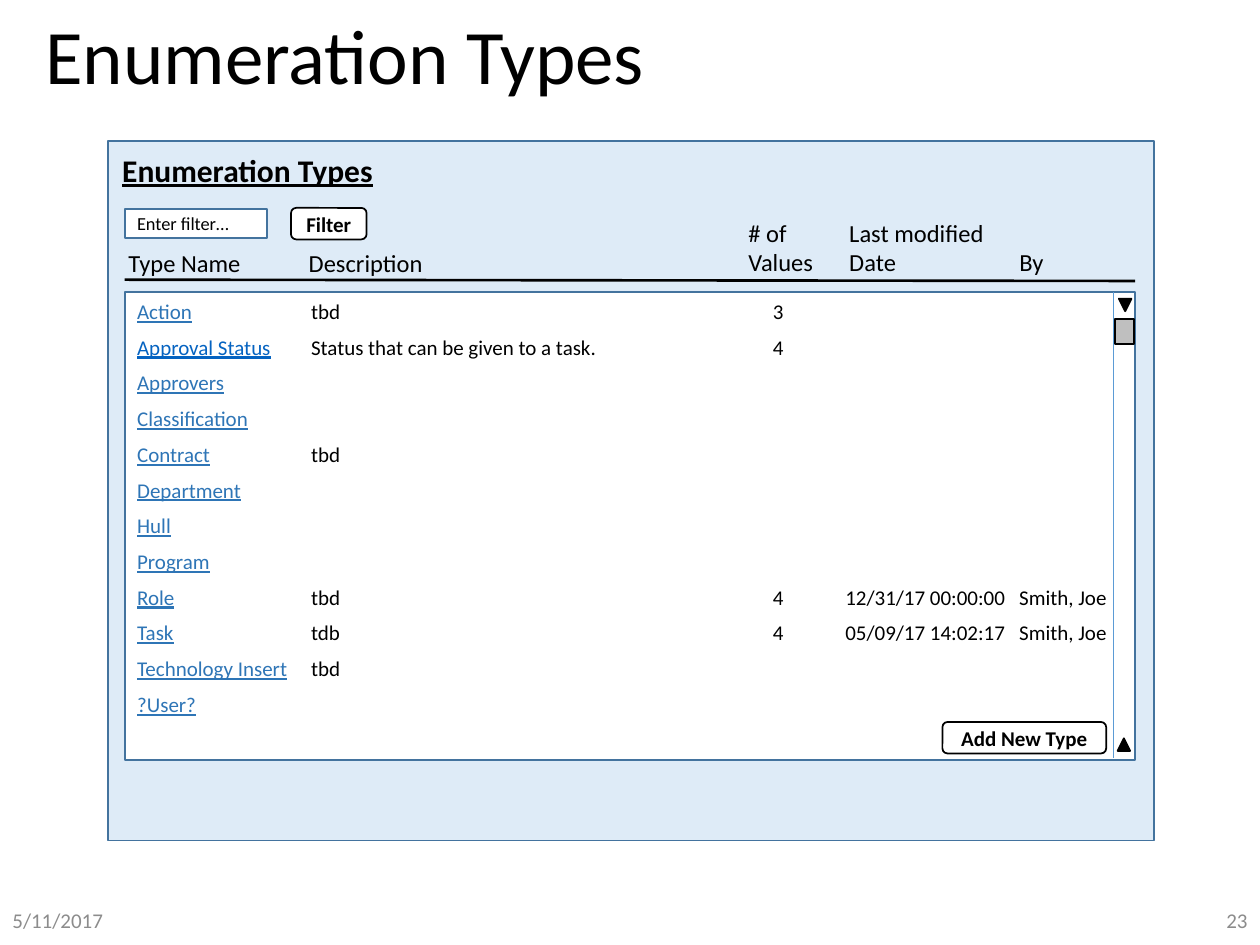
from lxml import etree
from pptx import Presentation
from pptx.dml.color import RGBColor
from pptx.enum.shapes import MSO_CONNECTOR, MSO_SHAPE
from pptx.enum.text import MSO_ANCHOR, PP_ALIGN
from pptx.oxml.ns import qn
from pptx.util import Inches, Pt

RECT = MSO_SHAPE.RECTANGLE
ROUND = MSO_SHAPE.ROUNDED_RECTANGLE
ARROW = MSO_SHAPE.ISOSCELES_TRIANGLE
THUMB = MSO_SHAPE.FLOWCHART_PROCESS
STRAIGHT = MSO_CONNECTOR.STRAIGHT
TOP, MIDDLE = MSO_ANCHOR.TOP, MSO_ANCHOR.MIDDLE
LEFT, CENTER, RIGHT = PP_ALIGN.LEFT, PP_ALIGN.CENTER, PP_ALIGN.RIGHT

BLACK = RGBColor(0, 0, 0)
WHITE = RGBColor(255, 255, 255)
GRAY = RGBColor(0x8C, 0x8C, 0x8C)
SILVER = RGBColor(0xBF, 0xBF, 0xBF)
PALE = RGBColor(0xDE, 0xEB, 0xF7)
EDGE = RGBColor(0x43, 0x73, 0x9E)
BLUE = RGBColor(0x5B, 0x9B, 0xD5)
LINK = RGBColor(0x2E, 0x75, 0xB6)
BRIGHT = RGBColor(0x05, 0x63, 0xC1)

LIST_TABS = [(1.38, "l"), (5.13, "dec"), (5.62, "l"), (6.62, "l")]
ROWS = [
    ("Action", "tbd", "3"),
    ("Approval Status", "Status that can be given to a task.", "4"),
    ("Approvers",),
    ("Classification",),
    ("Contract", "tbd"),
    ("Department",),
    ("Hull",),
    ("Program",),
    ("Role", "tbd", "4", "12/31/17 00:00:00", "Smith, Joe"),
    ("Task", "tdb", "4", "05/09/17 14:02:17", "Smith, Joe"),
    ("Technology Insert", "tbd"),
    ("?User?",),
]
HEADS = [
    (0.97, 1.92, 1, 0.34, "Type Name"),
    (2.4, 1.92, 1.02, 0.34, "Description"),
    (5.89, 1.68, 0.62, 0.57, "# of\nValues"),
    (6.69, 1.68, 1.66, 0.57, "Last modified\nDate\tBy"),
]


def style(para, size, color=BLACK, bold=False, align=LEFT):
    para.alignment = align
    font = para.font
    font.name, font.size, font.bold = "Calibri", Pt(size), bold
    font.color.rgb = color


def set_tabs(para, stops):
    tabs = etree.SubElement(para._p.get_or_add_pPr(), qn("a:tabLst"))
    for pos, align in stops:
        etree.SubElement(tabs, qn("a:tab"), pos=str(Inches(pos)), algn=align)


def add_box(slide, kind, at, fill, edge=BLACK):
    box = slide.shapes.add_shape(kind, *map(Inches, at))
    box.shadow.inherit = False
    box.fill.solid()
    box.fill.fore_color.rgb = fill
    box.line.color.rgb = edge
    box.line.width = Pt(1)
    return box


def add_line(slide, start, end, color, width):
    line = slide.shapes.add_connector(STRAIGHT, *map(Inches, start + end))
    line.line.color.rgb = color
    line.line.width = Pt(width)
    etree.SubElement(line._element.spPr, qn("a:effectLst"))


def fill_box(box, text, size, **look):
    frame = box.text_frame
    frame.vertical_anchor = MIDDLE
    frame.text = text
    style(frame.paragraphs[0], size, **look)


def add_label(slide, at, text, size, bold=False):
    box = slide.shapes.add_textbox(*map(Inches, at))
    frame = box.text_frame
    frame.word_wrap = False
    frame.margin_left = frame.margin_right = Inches(0.05)
    frame.text = text
    for para in frame.paragraphs:
        if "\t" in para.text:
            set_tabs(para, [(1.35, "l")])
        style(para, size, bold=bold)
    return box


def add_foot(slide, left, text, align):
    box = slide.shapes.add_textbox(*map(Inches, (left, 7.1, 2.25, 0.4)))
    box.text_frame.word_wrap = True
    fill_box(box, text, 12, color=GRAY, align=align)


def add_list(slide):
    frame = add_box(slide, RECT, (0.99, 2.32, 8.02, 3.71), WHITE, EDGE).text_frame
    frame.vertical_anchor = TOP
    for num, (name, *cells) in enumerate(ROWS):
        para = frame.add_paragraph() if num else frame.paragraphs[0]
        para.space_after = Pt(6)
        set_tabs(para, LIST_TABS)
        style(para, 12)
        link = para.add_run()
        link.text = name
        link.font.underline = True
        link.font.color.rgb = BRIGHT if name == "Approval Status" else LINK
        if cells:
            para.add_run().text = "".join("\t" + cell for cell in cells)


def add_scroll(slide):
    add_box(slide, ARROW, (8.87, 5.86, 0.1, 0.1), BLACK)
    add_box(slide, ARROW, (8.88, 2.37, 0.1, 0.1), BLACK).rotation = 180
    add_box(slide, THUMB, (8.85, 2.53, 0.15, 0.2), SILVER)
    add_line(slide, (8.84, 2.32), (8.84, 6.02), BLUE, 0.5)


def add_button(slide, at, text):
    box = add_box(slide, ROUND, at, WHITE)
    fill_box(box, text, 12, bold=True, align=CENTER)


def add_title(slide, text):
    title = slide.shapes.title
    title.left, title.top, title.width, title.height = map(
        Inches, (0.26, 0.09, 9.5, 0.76))
    fill_box(title, text, 44)
    title.text_frame.paragraphs[0].line_spacing = 0.9


def main():
    deck = Presentation()
    deck.slide_width, deck.slide_height = Inches(10), Inches(7.5)
    slide = deck.slides.add_slide(deck.slide_layouts[5])
    add_title(slide, "Enumeration Types")
    add_foot(slide, 0, "5/11/2017", LEFT)
    add_foot(slide, 7.75, "23", RIGHT)
    add_box(slide, RECT, (0.86, 1.12, 8.3, 5.55), PALE, EDGE)
    add_line(slide, (0.99, 2.22), (9.01, 2.23), BLACK, 1.5)
    for *at, text in HEADS:
        add_label(slide, at, text, 14)
    head = add_label(slide, (0.92, 1.15, 2.1, 0.4), "Enumeration Types", 18, True)
    head.text_frame.paragraphs[0].font.underline = True
    entry = add_box(slide, RECT, (0.99, 1.66, 1.13, 0.23), WHITE, EDGE)
    fill_box(entry, "Enter filter…", 10.5)
    add_list(slide)
    add_scroll(slide)
    add_button(slide, (2.31, 1.65, 0.6, 0.25), "Filter")
    add_button(slide, (7.48, 5.73, 1.3, 0.25), "Add New Type")
    deck.save("out.pptx")


main()
